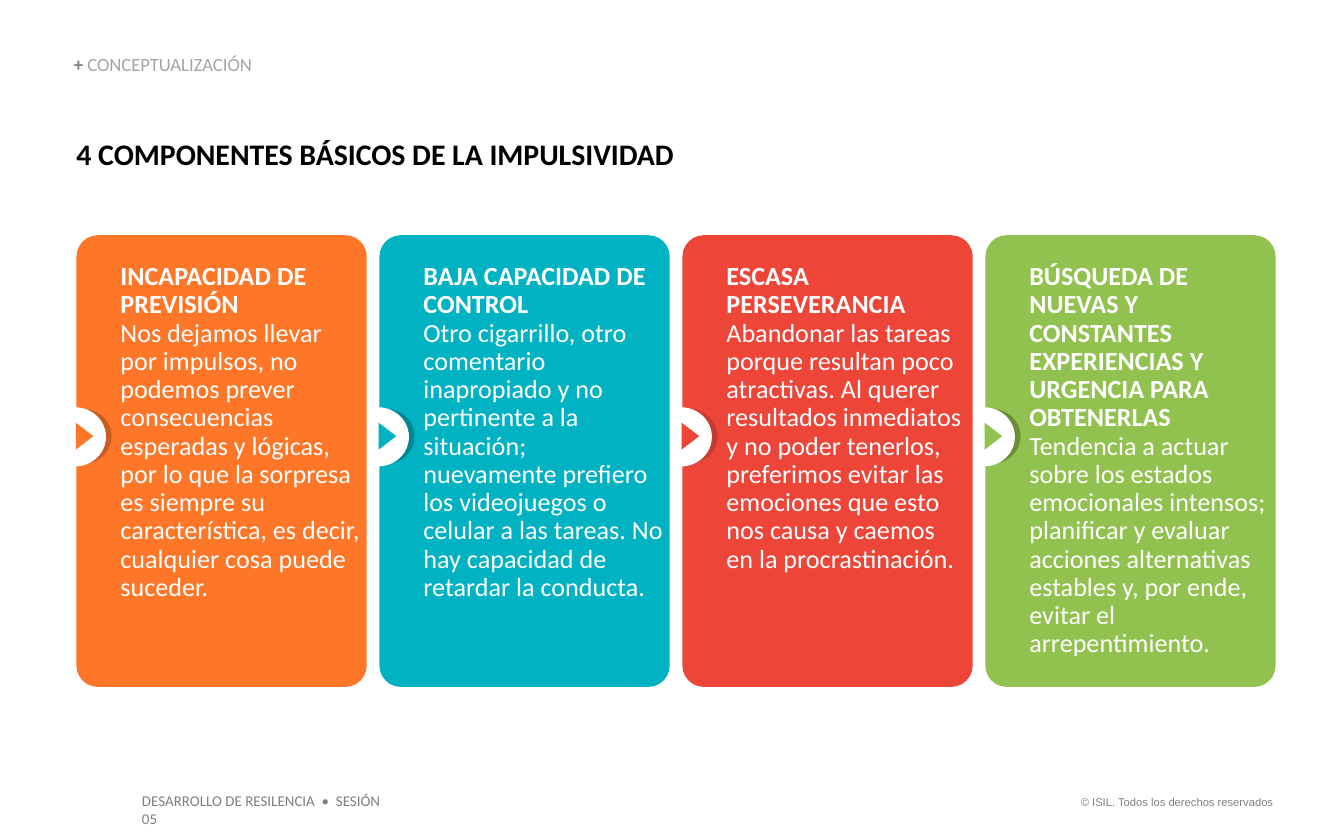
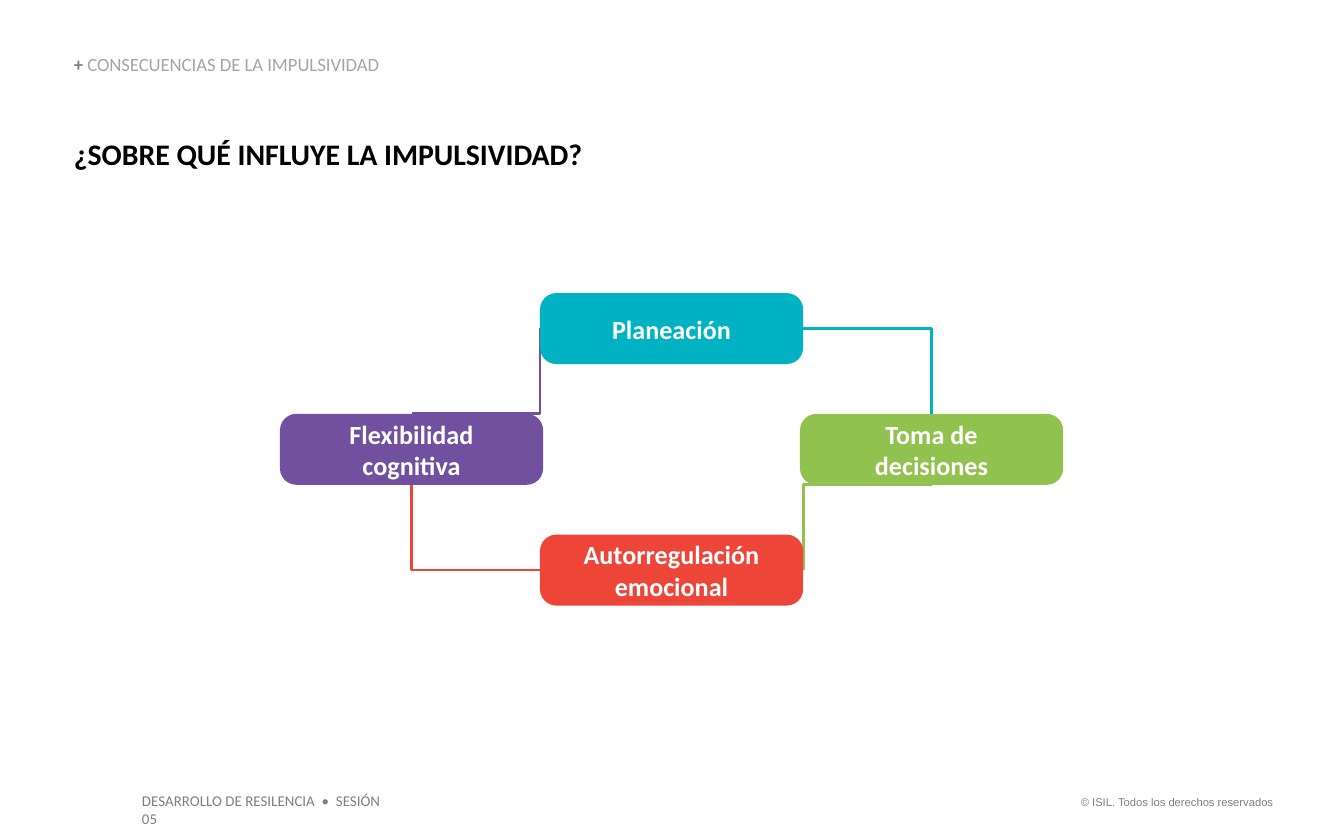
from lxml import etree
from pptx import Presentation
from pptx.dml.color import RGBColor
from pptx.enum import shapes, text
from pptx.oxml.ns import qn
from pptx.util import Pt

COPYRIGHT = "© ISIL. Todos los derechos reservados"
COURSE = "DESARROLLO DE RESILENCIA  •  SESIÓN 05"

ORANGE, TEAL, RED, GREEN, PURPLE = "FE7628", "00B2C2", "EE4539", "91C14E", "7150A0"
WHITE, BLACK, GRAY, LIGHT_GRAY = "FFFFFF", "000000", "7F7F7F", "A5A5A5"

# fill, shade behind the badge, heading, body
COMPONENTS = [
    (ORANGE, "C85D1F", "INCAPACIDAD DE PREVISIÓN",
     "Nos dejamos llevar por impulsos, no podemos prever consecuencias esperadas y "
     "lógicas, por lo que la sorpresa es siempre su característica, es decir, "
     "cualquier cosa puede suceder."),
    (TEAL, "008693", "BAJA CAPACIDAD DE CONTROL",
     "Otro cigarrillo, otro comentario inapropiado y no pertinente a la situación; "
     "nuevamente prefiero los videojuegos o celular a las tareas. No hay capacidad "
     "de retardar la conducta."),
    (RED, "C73931", "ESCASA PERSEVERANCIA",
     "Abandonar las tareas porque resultan poco atractivas. Al querer resultados "
     "inmediatos y no poder tenerlos, preferimos evitar las emociones que esto nos "
     "causa y caemos en la procrastinación."),
    (GREEN, "6B8F39", "BÚSQUEDA DE NUEVAS Y CONSTANTES EXPERIENCIAS Y URGENCIA PARA OBTENERLAS",
     "Tendencia a actuar sobre los estados emocionales intensos; planificar y evaluar "
     "acciones alternativas estables y, por ende, evitar el arrepentimiento."),
]
CARD_LEFT, CARD_TOP, CARD_WIDTH, CARD_HEIGHT, CARD_STEP = 41, 126, 155.5, 242, 162.3

# Clockwise from the top: label, fill, column, row, side left from, side of the next node reached
INFLUENCES = [
    ("Planeación", TEAL, 1, 0, "right", "top"),
    ("Toma de\ndecisiones", GREEN, 2, 1, "bottom", "right"),
    ("Autorregulación\nemocional", RED, 1, 2, "left", "bottom"),
    ("Flexibilidad\ncognitiva", PURPLE, 0, 1, "top", "left"),
]
NODE_LEFT, NODE_TOP, NODE_WIDTH, NODE_HEIGHT = 150, 157, 141, 38
COLUMN_STEP, ROW_STEP = 139.3, 64.7
SIDES = {"top": (0.5, 0), "left": (0, 0.5), "bottom": (0.5, 1), "right": (1, 0.5)}


def color(value):
    return RGBColor.from_string(value)


def style(font, size, value, bold=False, name="Calibri"):
    font.name, font.size, font.bold = name, Pt(size), bold
    font.color.rgb = color(value)


def set_margins(frame, left, top, right, bottom):
    frame.margin_left, frame.margin_top = Pt(left), Pt(top)
    frame.margin_right, frame.margin_bottom = Pt(right), Pt(bottom)


def add_text_box(slide, box, margins=(0, 0, 0, 0)):
    """Add a wrapping box that grows with its text; return its frame."""
    frame = slide.shapes.add_textbox(*map(Pt, box)).text_frame
    frame.word_wrap = True
    frame.auto_size = text.MSO_AUTO_SIZE.SHAPE_TO_FIT_TEXT
    set_margins(frame, *margins)
    return frame


def add_filled(slide, kind, box, fill):
    shape = slide.shapes.add_shape(kind, *map(Pt, box))
    shape.shadow.inherit = False
    shape.fill.solid()
    shape.fill.fore_color.rgb = color(fill)
    shape.line.fill.background()
    return shape


def add_base_slide(presentation, section, title, title_left):
    """Add a blank slide with the section tag, title and footers."""
    slide = presentation.slides.add_slide(presentation.slide_layouts[6])
    for content, box, size, font, align in (
        (COPYRIGHT, (567.4, 422.6, 121.7, 14.4), 6, "Arial", text.PP_ALIGN.RIGHT),
        (COURSE, (69, 420.5, 152, 17), 8, "Calibri", text.PP_ALIGN.LEFT),
    ):
        paragraph = add_text_box(slide, box, (7.2, 3.6, 7.2, 3.6)).paragraphs[0]
        paragraph.text, paragraph.alignment = content, align
        style(paragraph.font, size, GRAY, name=font)

    heading = add_text_box(slide, (title_left, 72.7, 561.6, 19.4)).paragraphs[0]
    heading.text = title
    style(heading.font, 16, BLACK, bold=True)

    frame = add_text_box(slide, (39.6, 29.5, 191.5, 10.8))
    frame.vertical_anchor = text.MSO_ANCHOR.BOTTOM
    paragraph = frame.paragraphs[0]
    paragraph.line_spacing = 0.9
    for content, value, bold in (("+ ", GRAY, True), (section, LIGHT_GRAY, False)):
        run = paragraph.add_run()
        run.text = content
        style(run.font, 10, value, bold)
    return slide


def add_card(slide, left, fill, shade, heading, body):
    card = add_filled(slide, shapes.MSO_SHAPE.ROUNDED_RECTANGLE,
                      (left, CARD_TOP, CARD_WIDTH, CARD_HEIGHT), fill)
    card.adjustments[0] = 0.074
    frame = card.text_frame
    frame.word_wrap = True
    frame.vertical_anchor = text.MSO_ANCHOR.TOP
    set_margins(frame, 20.2, 11.5, 0, 3.6)
    frame.text = f"{heading}\n{body}"
    for paragraph, bold in zip(frame.paragraphs, (True, False)):
        paragraph.alignment = text.PP_ALIGN.LEFT
        paragraph.line_spacing = 0.9
        style(paragraph.font, 14, WHITE, bold)

    oval = shapes.MSO_SHAPE.OVAL
    add_filled(slide, oval, (left - 12.2, 219, 31, 29.5), shade)
    add_filled(slide, oval, (left - 17.3, 218.2, 33.1, 31.7), WHITE)
    arrow = add_filled(slide, shapes.MSO_SHAPE.ISOSCELES_TRIANGLE,
                       (left - 2.9, 229, 14.4, 9.4), fill)
    arrow.rotation = 90


def add_bent_connector(slide, start, end, fill):
    """Join two points by a line that runs across first, then up or down."""
    connector = slide.shapes.add_connector(
        shapes.MSO_CONNECTOR.ELBOW, *map(Pt, start + end))
    connector.line.color.rgb = color(fill)
    connector.line.width = Pt(1.5)
    properties = connector._element.spPr
    properties.find(qn("a:prstGeom")).set("prst", "bentConnector2")
    etree.SubElement(properties, qn("a:effectLst"))


def node_point(node, side):
    column, row = node[2:4]
    across, down = SIDES[side]
    return (NODE_LEFT + column * COLUMN_STEP + across * NODE_WIDTH,
            NODE_TOP + row * ROW_STEP + down * NODE_HEIGHT)


def add_node(slide, label, fill, column, row):
    box = (NODE_LEFT + column * COLUMN_STEP, NODE_TOP + row * ROW_STEP,
           NODE_WIDTH, NODE_HEIGHT)
    node = add_filled(slide, shapes.MSO_SHAPE.ROUNDED_RECTANGLE, box, fill)
    node.adjustments[0] = 0.231
    frame = node.text_frame
    frame.word_wrap = True
    frame.vertical_anchor = text.MSO_ANCHOR.MIDDLE
    frame.text = label
    for paragraph in frame.paragraphs:
        paragraph.alignment = text.PP_ALIGN.CENTER
        style(paragraph.font, 14, WHITE, bold=True)


def build_components(presentation):
    slide = add_base_slide(presentation, "CONCEPTUALIZACIÓN",
                           "4 COMPONENTES BÁSICOS DE LA IMPULSIVIDAD", 41)
    # Right to left, so that each card covers the edge of the next badge
    for index, component in reversed(list(enumerate(COMPONENTS))):
        add_card(slide, CARD_LEFT + index * CARD_STEP, *component)


def build_influences(presentation):
    slide = add_base_slide(presentation, "CONSECUENCIAS DE LA IMPULSIVIDAD",
                           "¿SOBRE QUÉ INFLUYE LA IMPULSIVIDAD?", 39.6)
    for node, following in zip(INFLUENCES, INFLUENCES[1:] + INFLUENCES[:1]):
        add_bent_connector(slide, node_point(node, node[4]),
                           node_point(following, node[5]), node[1])
    for node in INFLUENCES:
        add_node(slide, *node[:4])


def main():
    presentation = Presentation()
    presentation.slide_width, presentation.slide_height = Pt(720), Pt(450)
    build_components(presentation)
    build_influences(presentation)
    presentation.save("out.pptx")


if __name__ == "__main__":
    main()
